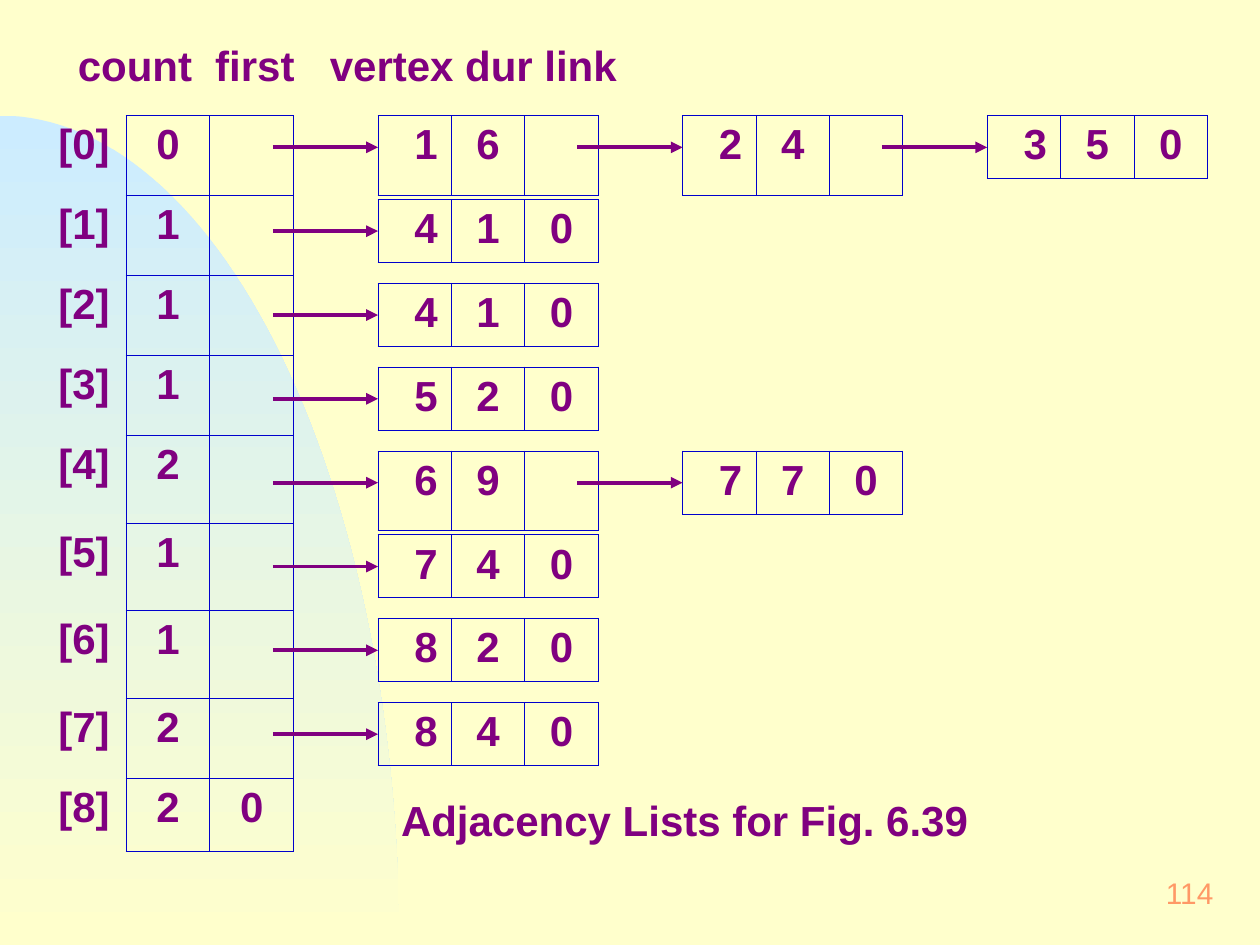
from dataclasses import dataclass
from math import cos, pi, sin

from lxml.etree import SubElement as Sub
from pptx import Presentation
from pptx.dml.color import RGBColor as Rgb
from pptx.enum.shapes import MSO_CONNECTOR as Link
from pptx.enum.text import MSO_ANCHOR as Anchor, MSO_AUTO_SIZE as Auto, PP_ALIGN as Align
from pptx.oxml.ns import qn
from pptx.util import Cm, Pt


@dataclass(frozen=True)
class Theme:
    """Colours, type sizes and line widths of the slide."""
    paper: str = "FFFFCC"
    sky: str = "CCECFF"
    ink: str = "800080"
    grid: str = "0000CC"
    page: str = "FF9966"
    font: str = "Arial"
    text: int = 24
    small: int = 17
    rule: float = 0.45
    arrow: float = 2.25
    plain: str = "{2D5ABB26-0587-4C30-8999-92F81FD0307C}"


LOOK = Theme()
COUNTS = [0, 1, 1, 1, 2, 1, 1, 2, 2]
LISTS = [
    [(1, 6), (2, 4), (3, 5)],
    [(4, 1)],
    [(4, 1)],
    [(5, 2)],
    [(6, 9), (7, 7)],
    [(7, 4)],
    [(8, 2)],
    [(8, 4)],
]
HEIGHTS = [1.61] * 4 + [1.77] * 3 + [1.61, 1.48]


def style(para, size=LOOK.text, color=LOOK.ink, bold=True, align=Align.LEFT):
    """Format a paragraph and its runs."""
    para.alignment = align
    for run in para.runs:
        font = run.font
        font.name, font.size, font.bold = LOOK.font, Pt(size), bold
        font.color.rgb = Rgb.from_string(color)


def label(slide, text, x, y, w, h, stop=None, **looks):
    """Add a text box, with a tab stop if one is given."""
    frame = slide.shapes.add_textbox(Cm(x), Cm(y), Cm(w), Cm(h)).text_frame
    frame.word_wrap = True
    frame.vertical_anchor = Anchor.MIDDLE
    frame.margin_left = frame.margin_right = Cm(0.3)
    frame.margin_top = frame.margin_bottom = Cm(0.15)
    frame.text = text
    para = frame.paragraphs[0]
    if stop:
        tabs = Sub(para._p.get_or_add_pPr(), qn("a:tabLst"))
        Sub(tabs, qn("a:tab"), pos=str(Cm(stop)), algn="l")
    style(para, **looks)


def caption(slide, text, x, y, w, h):
    """Move and format the title placeholder."""
    box = slide.shapes.title
    box.left, box.top, box.width, box.height = Cm(x), Cm(y), Cm(w), Cm(h)
    frame = box.text_frame
    frame.auto_size = Auto.NONE
    frame.vertical_anchor = Anchor.MIDDLE
    frame.text = text
    style(frame.paragraphs[0])


def edge(cell, sides):
    """Draw the named sides of a cell."""
    for side in sides:
        line = Sub(cell._tc.get_or_add_tcPr(), qn("a:ln" + side), w=str(Pt(LOOK.rule)))
        Sub(Sub(line, qn("a:solidFill")), qn("a:srgbClr"), val=LOOK.grid)


def table(slide, rows, x, y, wide, highs, bare=False):
    """Add a grid of equal columns; a bare one has an unframed first column."""
    cols = len(rows[0])
    grid = slide.shapes.add_table(
        len(rows), cols, Cm(x), Cm(y), Cm(wide * cols), Cm(sum(highs))).table
    grid.first_row = grid.horz_banding = False
    grid._tbl.tblPr.find(qn("a:tableStyleId")).text = LOOK.plain
    for col in grid.columns:
        col.width = Cm(wide)
    for i, row in enumerate(rows):
        grid.rows[i].height = Cm(highs[i])
        for j, text in enumerate(row):
            cell = grid.cell(i, j)
            edge(cell, "R" if bare and j == 0 else "LRTB")
            cell.fill.background()
            cell.text = str(text)
            style(cell.text_frame.paragraphs[0], align=Align.CENTER)
    return grid


def arrow(slide, x, y, w):
    """Add a level arrow that points right."""
    line = slide.shapes.add_connector(Link.STRAIGHT, Cm(x), Cm(y), Cm(x + w), Cm(y))
    line.line.color.rgb = Rgb.from_string(LOOK.ink)
    line.line.width = Pt(LOOK.arrow)
    Sub(line.line._get_or_add_ln(), qn("a:tailEnd"), type="triangle")
    Sub(line._element.spPr, qn("a:effectLst"))


def chain(slide, nodes, x, y, wide=1.48, pitch=6.14, lead=2.12):
    """Lay out one linked list from left to right."""
    for k, (vertex, dur) in enumerate(nodes):
        left = x + k * pitch
        last = k == len(nodes) - 1
        link, high = (0, 1.27) if last else ("", 1.61)
        grid = table(slide, [(vertex, dur, link)], left, y, wide, [high])
        grid.cell(0, 0).margin_left = Cm(0.71)
        arrow(slide, left - lead, y + 0.64, lead)


def swoop(slide, x, y, w, h, steps=60):
    """Add the shaded quarter ellipse."""
    turns = [pi / 2 * k / steps for k in range(steps + 1)]
    arc = [(Cm(x + w * sin(t)), Cm(y + h - h * cos(t))) for t in turns]
    path = slide.shapes.build_freeform(*arc[0])
    path.add_line_segments(arc[1:] + [(Cm(x), Cm(y + h))], close=True)
    shape = path.convert_to_shape()
    shape.shadow.inherit = False
    shape.line.fill.background()
    shape.fill.gradient()
    shape.fill.gradient_angle = 270
    for stop, color in zip(shape.fill.gradient_stops, (LOOK.sky, LOOK.paper)):
        stop.color.rgb = Rgb.from_string(color)


def main():
    """Build and save the slide."""
    deck = Presentation()
    deck.slide_width, deck.slide_height = Cm(25.4), Cm(19.05)
    slide = deck.slides.add_slide(deck.slide_layouts[5])
    back = slide.background.fill
    back.solid()
    back.fore_color.rgb = Rgb.from_string(LOOK.paper)
    swoop(slide, 0, 2.33, 8.05, 16.72)
    label(slide, "count\tfirst", 1.27, 0.64, 5.28, 1.32, stop=2.77)
    label(slide, "vertex dur link", 6.35, 0.64, 6.99, 1.32)
    end = len(COUNTS) - 1
    heads = [(f"[{i}]", n, 0 if i == end else "") for i, n in enumerate(COUNTS)]
    table(slide, heads, 0.85, 2.33, 1.69, HEIGHTS, bare=True)
    for i, nodes in enumerate(LISTS):
        chain(slide, nodes, 7.62, 2.33 + i * 1.69)
    caption(slide, "Adjacency Lists for Fig. 6.39", 7.83, 15.88, 13.76, 1.27)
    label(slide, "114", 19.47, 17.36, 5.29, 1.27, size=LOOK.small,
          color=LOOK.page, bold=False, align=Align.RIGHT)
    deck.save("out.pptx")


if __name__ == "__main__":
    main()
